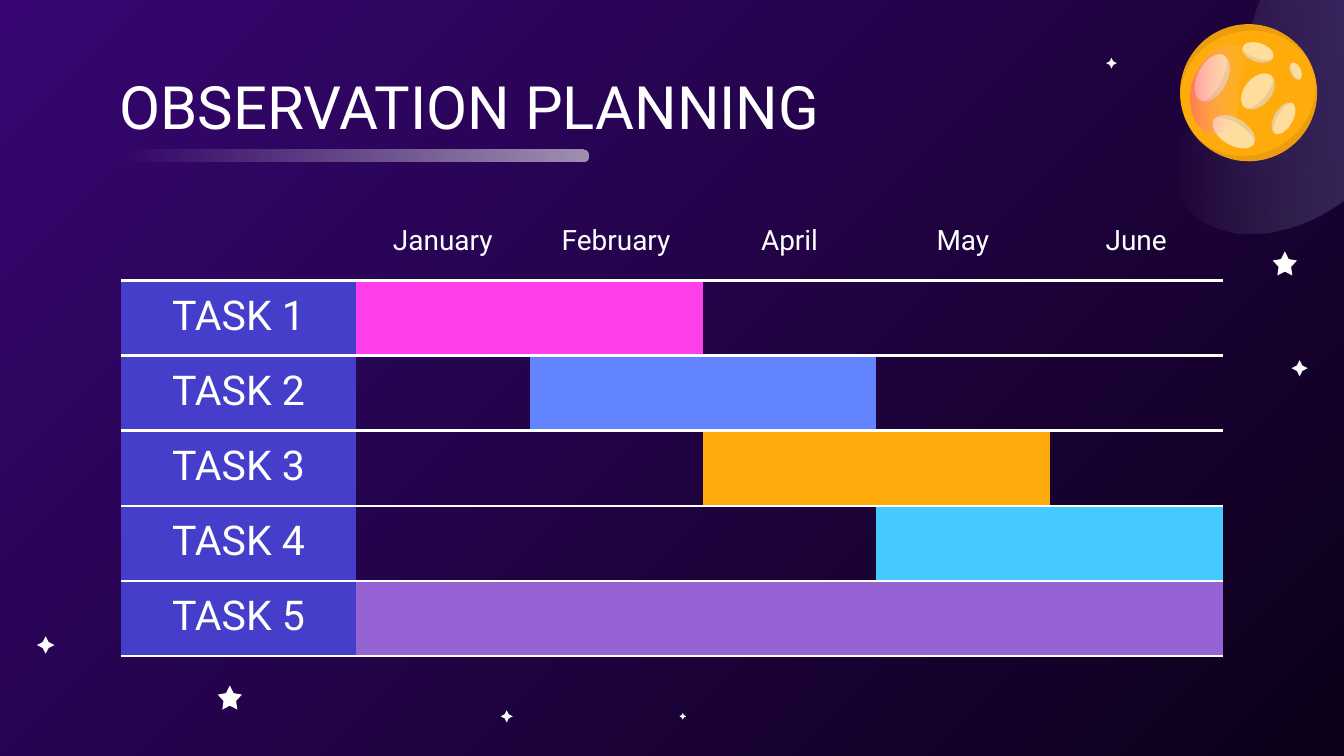
import math

from lxml import etree
from pptx import Presentation
from pptx import util as u
from pptx.dml.color import RGBColor
from pptx.enum import shapes, text
from pptx.oxml import ns

COLORS = {
    "night": "0C0019", "purple": "370672", "white": "FFFFFF", "star": "F9FBFC",
    "haze": "6372D4", "moon": "FFAB0C", "crater": "FFDD9D", "glow": "FF3FA3",
    "task": "453ECA", "pink": "FF3FEA", "blue": "6384FF", "orange": "FFAB0C",
    "cyan": "44CAFF", "violet": "9663D4",
}
FONT = "Roboto"
TITLE = "OBSERVATION PLANNING"
MONTHS = ["January", "February", "April", "May", "June"]
# task, first month, number of months, bar colour
TASKS = [
    ("TASK 1", 1, 2, "pink"),
    ("TASK 2", 2, 2, "blue"),
    ("TASK 3", 3, 2, "orange"),
    ("TASK 4", 4, 2, "cyan"),
    ("TASK 5", 1, 5, "violet"),
]
TABLE_LEFT, TABLE_TOP, TABLE_WIDTH, TABLE_HEIGHT = 0.9, 1.53, 8.2, 3.35
TASK_WIDTH = 1.75
NO_GRID_STYLE = "{2D5ABB26-0587-4C30-8999-92F81FD0307C}"

# centre x, centre y, size
SMALL_STARS = [(9.67, 2.74, 0.12), (8.27, 0.47, 0.08), (5.08, 5.33, 0.05),
               (3.77, 5.33, 0.09), (0.34, 4.8, 0.13)]
LARGE_STARS = [(9.56, 1.96, 0.18), (1.71, 5.19, 0.18)]

MOON = (9.29, 0.69, 1.02, 1.02)
# angle, side
MOON_SHADES = [(-28, 1), (-15, -1)]
# centre x, centre y, length, breadth, angle, shaded side
CRATERS = [
    (9.02, 0.58, 0.38, 0.22, -63, 1),
    (9.36, 0.68, 0.31, 0.2, -50, 1),
    (9.55, 0.88, 0.26, 0.14, -60, -1),
    (9.64, 0.53, 0.14, 0.08, 65, 1),
    (9.36, 0.39, 0.24, 0.14, 18, 1),
    (9.18, 0.98, 0.35, 0.2, 31, -1),
]
# start point, then two control points and an end point per curve
HAZE = [(10.1, -0.56), (10.08, -0.56), (10.06, -0.56), (10.04, -0.56),
        (9.78, -0.53), (9.52, -0.32), (9.39, -0.03), (9.27, 0.24), (9.25, 0.59),
        (9.04, 0.79), (8.95, 0.88), (8.82, 0.93), (8.75, 1.05), (8.65, 1.23),
        (8.73, 1.45), (8.85, 1.56), (8.98, 1.69), (9.14, 1.74), (9.31, 1.74),
        (9.57, 1.74), (9.86, 1.62), (10.08, 1.42), (10.31, 1.23), (10.49, 0.97),
        (10.6, 0.68), (10.8, 0.13), (10.63, -0.56), (10.1, -0.56)]
GLOW = [(9.15, 0.34), (9.07, 0.34), (8.98, 0.4), (8.93, 0.49), (8.88, 0.55),
        (8.86, 0.63), (8.86, 0.71), (8.85, 0.85), (8.92, 0.99), (9.03, 0.99),
        (9.05, 0.99), (9.07, 0.99), (9.09, 0.98), (9.16, 0.95), (9.2, 0.88),
        (9.21, 0.8), (9.22, 0.72), (9.2, 0.63), (9.24, 0.56), (9.25, 0.53),
        (9.28, 0.51), (9.29, 0.48), (9.3, 0.42), (9.26, 0.37), (9.22, 0.35),
        (9.2, 0.34), (9.18, 0.34), (9.15, 0.34)]


def rgb(name):
    return RGBColor.from_string(COLORS[name])


def set_alphas(element, percents):
    """Give the colours inside element, in order, these opacities."""
    for color, percent in zip(element.iter(ns.qn("a:srgbClr")), percents):
        etree.SubElement(color, ns.qn("a:alpha"), val=str(percent * 1000))


def fill_gradient(fill, names, angle):
    fill.gradient()
    fill.gradient_angle = angle
    for stop, name in zip(fill.gradient_stops, names):
        stop.color.rgb = rgb(name)


def paint(shape, names, alphas=(), angle=0):
    """Fill with one colour, or with a gradient when two are named."""
    if len(names) == 1:
        shape.fill.solid()
        shape.fill.fore_color.rgb = rgb(names[0])
    else:
        fill_gradient(shape.fill, names, angle)
    set_alphas(shape._element.spPr, alphas)
    shape.line.fill.background()
    shape.shadow.inherit = False


def add_centred(slide, kind, x, y, width, height, color):
    shape = slide.shapes.add_shape(kind, u.Inches(x - width / 2), u.Inches(y - height / 2),
                                   u.Inches(width), u.Inches(height))
    paint(shape, [color])
    return shape


def add_outline(slide, points):
    points = [(u.Inches(x), u.Inches(y)) for x, y in points]
    builder = slide.shapes.build_freeform(*points[0])
    builder.add_line_segments(points[1:], close=True)
    return builder.convert_to_shape()


def curve_points(nodes, steps=12):
    points = [nodes[0]]
    for i in range(0, len(nodes) - 1, 3):
        for step in range(1, steps + 1):
            t = step / steps
            weights = ((1 - t) ** 3, 3 * t * (1 - t) ** 2, 3 * t * t * (1 - t), t ** 3)
            points.append(tuple(sum(w * node[axis] for w, node in zip(weights, nodes[i:i + 4]))
                                for axis in (0, 1)))
    return points


def add_shade(slide, x, y, width, height, angle, side, depth):
    """Darken a crescent along one long side of a turned ellipse."""
    turn = math.radians(angle)
    arc = [math.radians(a) for a in range(0, 181, 6)]
    local = [(math.cos(a), math.sin(a)) for a in arc]
    local += [(math.cos(a), (1 - depth) * math.sin(a)) for a in reversed(arc[1:-1])]
    points = []
    for across, down in local:
        across, down = across * width / 2, side * down * height / 2
        points.append((x + across * math.cos(turn) - down * math.sin(turn),
                       y + across * math.sin(turn) + down * math.cos(turn)))
    paint(add_outline(slide, points), ["night"], [8])


def add_sky(slide):
    paint(add_outline(slide, curve_points(HAZE)), ["haze", "white"], [33, 0], 180)
    add_centred(slide, shapes.MSO_SHAPE.OVAL, *MOON, "moon")
    for angle, side in MOON_SHADES:
        add_shade(slide, *MOON, angle, side, 0.1)
    for x, y, length, breadth, angle, side in CRATERS:
        crater = add_centred(slide, shapes.MSO_SHAPE.OVAL, x, y, length, breadth, "crater")
        crater.rotation = angle
        add_shade(slide, x, y, length, breadth, angle, side, 0.35)
    paint(add_outline(slide, curve_points(GLOW)), ["glow", "white"], [45, 0])
    for x, y, size in SMALL_STARS:
        star = add_centred(slide, shapes.MSO_SHAPE.STAR_4_POINT, x, y, size, size, "star")
        star.adjustments[0] = 0.24
    for x, y, size in LARGE_STARS:
        star = add_centred(slide, shapes.MSO_SHAPE.STAR_5_POINT, x, y, size, size, "white")
        star.adjustments[0] = 0.26


def format_runs(paragraph, size):
    for run in paragraph.runs:
        run.font.name, run.font.size = FONT, u.Pt(size)
        run.font.color.rgb = rgb("white")


def add_title(slide):
    title = slide.shapes.title
    title.left, title.top = u.Inches(0.79), u.Inches(0.42)
    title.width, title.height = u.Inches(8.43), u.Inches(0.65)
    frame = title.text_frame
    frame.text = TITLE
    frame.auto_size = text.MSO_AUTO_SIZE.NONE
    frame.vertical_anchor = text.MSO_ANCHOR.TOP
    frame.margin_left = frame.margin_right = frame.margin_top = frame.margin_bottom = u.Inches(0.1)
    paragraph = frame.paragraphs[0]
    paragraph.alignment = text.PP_ALIGN.LEFT
    paragraph.line_spacing = 1.0
    format_runs(paragraph, 32)
    underline = add_centred(slide, shapes.MSO_SHAPE.ROUNDED_RECTANGLE, 2.64, 1.16, 3.48, 0.09, "white")
    underline.adjustments[0] = 0.5
    paint(underline, ["white", "white"], [0, 56])


def format_cell(cell, row, label, color):
    properties = cell._tc.get_or_add_tcPr()
    for edge in ("a:lnT", "a:lnB") if row else ("a:lnB",):
        line = etree.SubElement(properties, ns.qn(edge), w=str(u.Pt(1.5)))
        solid = etree.SubElement(line, ns.qn("a:solidFill"))
        etree.SubElement(solid, ns.qn("a:srgbClr"), val=COLORS["white"])
    if color:
        cell.fill.solid()
        cell.fill.fore_color.rgb = rgb(color)
    else:
        cell.fill.background()
    if label:
        cell.text_frame.text = label
        cell.vertical_anchor = text.MSO_ANCHOR.MIDDLE
        cell.margin_top, cell.margin_bottom = u.Inches(0.07), u.Inches(0.1)
        paragraph = cell.text_frame.paragraphs[0]
        paragraph.alignment = text.PP_ALIGN.CENTER
        format_runs(paragraph, 22 if row else 15)


def add_schedule(slide):
    rows, columns = len(TASKS) + 1, len(MONTHS) + 1
    frame = slide.shapes.add_table(rows, columns, u.Inches(TABLE_LEFT), u.Inches(TABLE_TOP),
                                   u.Inches(TABLE_WIDTH), u.Inches(TABLE_HEIGHT))
    table = frame.table
    table.first_row = table.horz_banding = False
    table._tbl.tblPr.find(ns.qn("a:tableStyleId")).text = NO_GRID_STYLE
    month_width = (TABLE_WIDTH - TASK_WIDTH) / len(MONTHS)
    for index, column in enumerate(table.columns):
        column.width = u.Inches(month_width if index else TASK_WIDTH)
    for column, month in enumerate([""] + MONTHS):
        format_cell(table.cell(0, column), 0, month, None)
    for row, (task, first, length, color) in enumerate(TASKS, 1):
        format_cell(table.cell(row, 0), row, task, "task")
        for column in range(1, columns):
            busy = first <= column < first + length
            format_cell(table.cell(row, column), row, "", color if busy else None)


presentation = Presentation()
presentation.slide_width = u.Inches(10)
presentation.slide_height = presentation.slide_width * 9 // 16
slide = presentation.slides.add_slide(presentation.slide_layouts[5])
fill_gradient(slide.background.fill, ["night", "purple"], 135)
add_sky(slide)
add_title(slide)
add_schedule(slide)
presentation.save("out.pptx")
